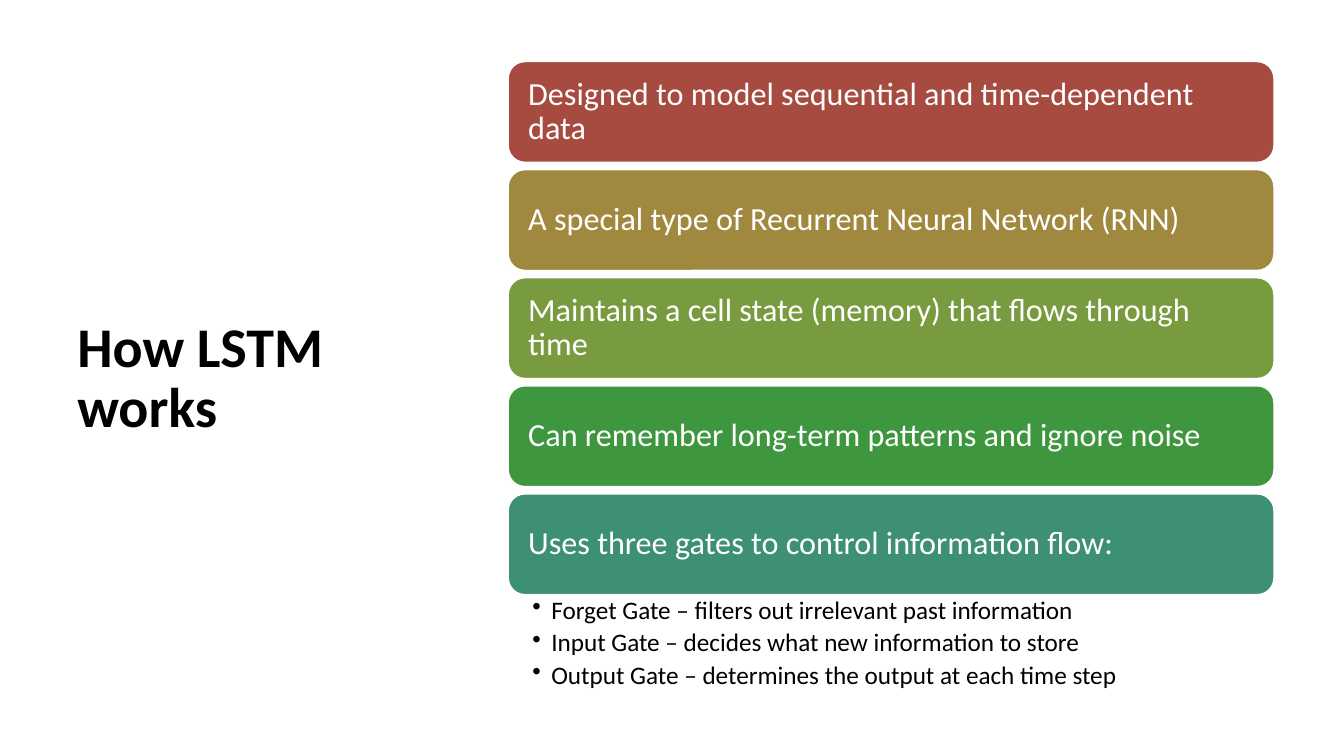
from lxml import etree
from pptx import Presentation
from pptx.dml.color import RGBColor as RGB
from pptx.enum.shapes import MSO_SHAPE as Preset
from pptx.enum.text import MSO_ANCHOR as Anchor, MSO_AUTO_SIZE as AutoSize, PP_ALIGN as Align
from pptx.oxml.ns import qn
from pptx.util import Pt

COLORS = {
    "text": "000000",
    "light": "FFFFFF",
    "red": "A74B40",
    "ochre": "A1883F",
    "olive": "799B3F",
    "green": "3E963E",
    "teal": "3D9072",
}

FEATURES = [
    ("Designed to model sequential and time-dependent data", "red"),
    ("A special type of Recurrent Neural Network (RNN)", "ochre"),
    ("Maintains a cell state (memory) that flows through time", "olive"),
    ("Can remember long-term patterns and ignore noise", "green"),
    ("Uses three gates to control information flow:", "teal"),
]

GATES = [
    "Forget Gate – filters out irrelevant past information",
    "Input Gate – decides what new information to store",
    "Output Gate – determines the output at each time step",
]

LEFT, TOP, WIDTH = 363, 44, 547
BAR_HEIGHT, BAR_PITCH = 72, 77.2


def color(name):
    return RGB.from_string(COLORS[name])


def add_bullet(paragraph, indent):
    properties = paragraph._p.get_or_add_pPr()
    properties.set("marL", str(Pt(indent)))
    properties.set("indent", str(-Pt(indent)))
    etree.SubElement(properties, qn("a:buChar")).set("char", "•")


def write(frame, lines, size, ink="text", bold=False, anchor=Anchor.TOP,
          insets=(7.2, 3.6, 7.2, 3.6), after=0, bullet_indent=None, font="Calibri"):
    """Fill a text frame, one paragraph a line; insets run left, top, right, bottom."""
    frame.word_wrap = True
    frame.auto_size = AutoSize.NONE
    frame.vertical_anchor = anchor
    (frame.margin_left, frame.margin_top,
     frame.margin_right, frame.margin_bottom) = map(Pt, insets)
    for index, line in enumerate(lines):
        paragraph = frame.add_paragraph() if index else frame.paragraphs[0]
        paragraph.text = line
        paragraph.alignment = Align.LEFT
        paragraph.line_spacing = 0.9
        paragraph.space_before = Pt(0)
        paragraph.space_after = Pt(after)
        if bullet_indent:
            add_bullet(paragraph, bullet_indent)
        paragraph.font.name = font
        paragraph.font.size = Pt(size)
        paragraph.font.bold = bold
        paragraph.font.color.rgb = color(ink)


class SlideBuilder:
    def __init__(self, deck):
        self.slide = deck.slides.add_slide(deck.slide_layouts[5])

    def title(self, text, left, top, width, height):
        heading = self.slide.shapes.title
        heading.left, heading.top = Pt(left), Pt(top)
        heading.width, heading.height = Pt(width), Pt(height)
        write(heading.text_frame, [text], 40, bold=True, anchor=Anchor.MIDDLE)

    def bar(self, text, fill, left, top, width, height):
        bar = self.slide.shapes.add_shape(
            Preset.ROUNDED_RECTANGLE, Pt(left), Pt(top), Pt(width), Pt(height))
        bar.shadow.inherit = False
        bar.fill.solid()
        bar.fill.fore_color.rgb = color(fill)
        bar.line.color.rgb = color("light")
        bar.line.width = Pt(1)
        write(bar.text_frame, [text], 23, ink="light", anchor=Anchor.MIDDLE,
              insets=(10.8,) * 4)

    def bullets(self, lines, left, top, width, height):
        box = self.slide.shapes.add_textbox(Pt(left), Pt(top), Pt(width), Pt(height))
        write(box.text_frame, lines, 18, insets=(17.3, 2.2, 13, 2.2),
              after=3.6, bullet_indent=13.5)


def main():
    deck = Presentation()
    deck.slide_width, deck.slide_height = Pt(960), Pt(540)
    builder = SlideBuilder(deck)
    builder.title("How LSTM works", 48, 43, 275, 456)
    for row, (feature, fill) in enumerate(FEATURES):
        builder.bar(feature, fill, LEFT, TOP + row * BAR_PITCH, WIDTH, BAR_HEIGHT)
    gates_top = TOP + (len(FEATURES) - 1) * BAR_PITCH + BAR_HEIGHT
    builder.bullets(GATES, LEFT, gates_top, WIDTH, 73.5)
    deck.save("out.pptx")


if __name__ == "__main__":
    main()
